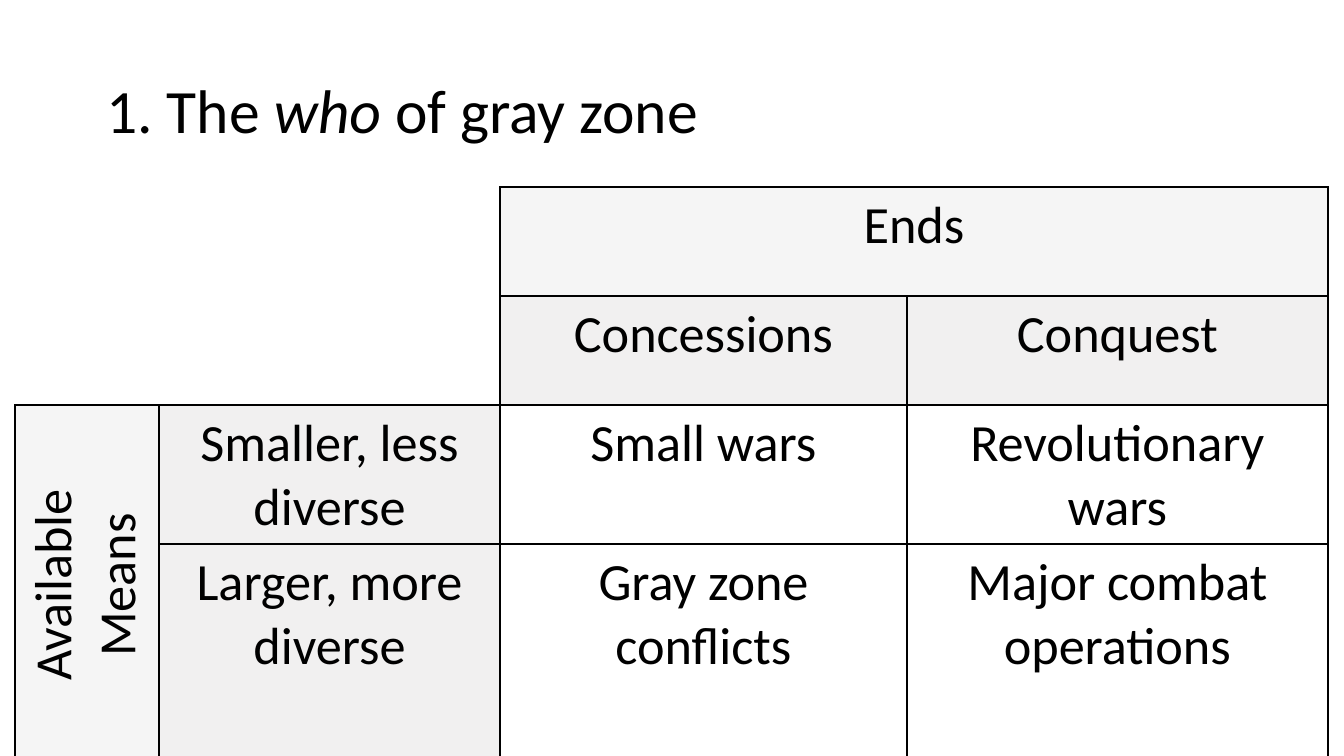
from lxml import etree
from pptx import Presentation
from pptx.dml.color import RGBColor
from pptx.enum.text import MSO_ANCHOR, PP_ALIGN
from pptx.oxml.ns import qn
from pptx.util import Emu, Pt

BLACK = RGBColor(0x00, 0x00, 0x00)
AXIS_GRAY = RGBColor(0xF5, 0xF5, 0xF5)
LABEL_GRAY = RGBColor(0xF1, 0xF0, 0xF0)
FONT = "Calibri"
PX_PER_INCH = 134.4

TITLE = [("1. The ", False), ("who", True), (" of gray zone", False)]
TITLE_BOX = (93, 40, 1159, 147)
MATRIX = [
    ["", "", "Ends", ""],
    ["", "", "Concessions", "Conquest"],
    ["Available Means", "Smaller, less diverse", "Small wars", "Revolutionary wars"],
    ["", "Larger, more diverse", "Gray zone conflicts", "Major combat operations"],
]
MERGES = [((0, 2), (0, 3)), ((2, 0), (3, 0))]
MATRIX_LEFT, MATRIX_TOP = 15, 187
COLUMN_WIDTHS = [144, 341, 407, 421]
ROW_HEIGHT = 109
HEADER_ROWS = HEADER_COLUMNS = 2


def px(length):
    return Emu(round(length * 914400 / PX_PER_INCH))


def style_span(span, size):
    span.font.name = FONT
    span.font.size = Pt(size)
    span.font.color.rgb = BLACK


def cell_color(row, column):
    if row >= HEADER_ROWS and column >= HEADER_COLUMNS:
        return None
    return AXIS_GRAY if row == 0 or column == 0 else LABEL_GRAY


def add_borders(cell, sides):
    properties = cell._tc.get_or_add_tcPr()
    for index, side in enumerate("LRTB"):
        line = etree.Element(qn(f"a:ln{side}"), w=str(Pt(1)))
        if side in sides:
            fill = etree.SubElement(line, qn("a:solidFill"))
            etree.SubElement(fill, qn("a:srgbClr"), val=str(BLACK))
        else:
            etree.SubElement(line, qn("a:noFill"))
        properties.insert(index, line)


def add_title(page):
    box = page.shapes.add_textbox(*map(px, TITLE_BOX))
    frame = box.text_frame
    frame.word_wrap = True
    frame.vertical_anchor = MSO_ANCHOR.MIDDLE
    para = frame.paragraphs[0]
    para.line_spacing = 0.9
    for words, italic in TITLE:
        span = para.add_run()
        span.text = words
        style_span(span, 33)
        span.font.italic = italic


def fill_cell(cell, row, column):
    cell.text = MATRIX[row][column]
    para = cell.text_frame.paragraphs[0]
    para.alignment = PP_ALIGN.CENTER
    for span in para.runs:
        style_span(span, 28)
    corner = row < HEADER_ROWS and column < HEADER_COLUMNS
    color = None if corner else cell_color(row, column)
    if color is None:
        cell.fill.background()
    else:
        cell.fill.solid()
        cell.fill.fore_color.rgb = color
    sides = "LRTB"
    if corner:
        sides = ("R" if column == HEADER_COLUMNS - 1 else "") + (
            "B" if row == HEADER_ROWS - 1 else "")
    add_borders(cell, sides)


def add_matrix(page):
    rows, columns = len(MATRIX), len(COLUMN_WIDTHS)
    table = page.shapes.add_table(
        rows, columns, px(MATRIX_LEFT), px(MATRIX_TOP),
        px(sum(COLUMN_WIDTHS)), px(rows * ROW_HEIGHT)).table
    table.first_row = False
    table.horz_banding = False
    for column, width in enumerate(COLUMN_WIDTHS):
        table.columns[column].width = px(width)
    for row in range(rows):
        table.rows[row].height = px(ROW_HEIGHT)
        for column in range(columns):
            fill_cell(table.cell(row, column), row, column)
    for first, last in MERGES:
        table.cell(*first).merge(table.cell(*last))
    table.cell(HEADER_ROWS, 0)._tc.get_or_add_tcPr().set("vert", "vert270")


def main():
    deck = Presentation()
    deck.slide_width, deck.slide_height = px(1344), px(756)
    page = deck.slides.add_slide(deck.slide_layouts[6])
    add_title(page)
    add_matrix(page)
    deck.save("out.pptx")


if __name__ == "__main__":
    main()
